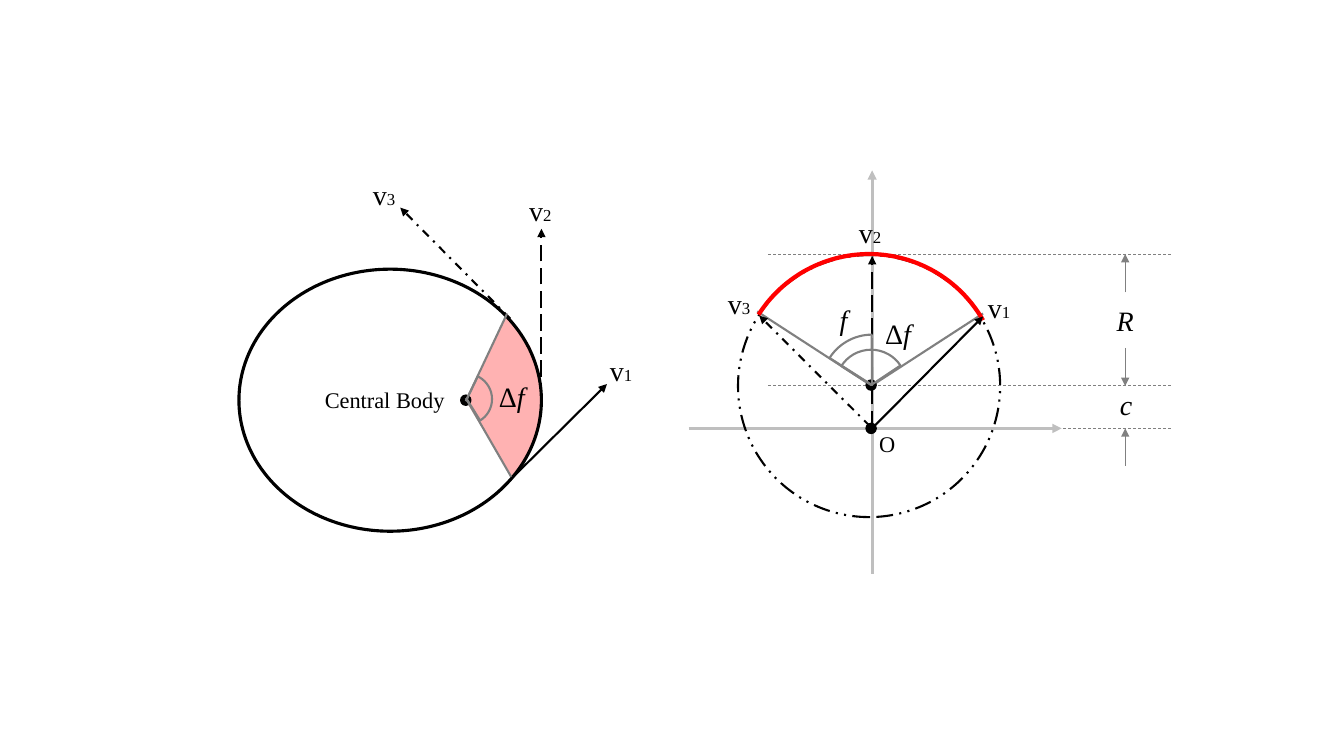
from lxml import etree
from pptx import Presentation
from pptx.dml.color import RGBColor
from pptx.enum import dml, shapes, text
from pptx.oxml import ns
from pptx.util import Inches, Pt

BLACK = RGBColor(0, 0, 0)
GRAY = RGBColor(0x80, 0x80, 0x80)
SILVER = RGBColor(0xBF, 0xBF, 0xBF)
RED = RGBColor(0xFF, 0, 0)
FONT = "Times New Roman"
DASH = dml.MSO_LINE
KIND = shapes.MSO_SHAPE


class Pane:
    def __init__(self, slide, left, top):
        self.items = slide.shapes
        self.left = left
        self.top = top

    def spot(self, x, y):
        return Inches(self.left + x), Inches(self.top + y)

    def line(self, start, end, color=BLACK, width=1.5, dash=None, arrow=False):
        link = self.items.add_connector(
            shapes.MSO_CONNECTOR.STRAIGHT, *self.spot(*start), *self.spot(*end))
        link.line.color.rgb = color
        link.line.width = Pt(width)
        if dash:
            link.line.dash_style = dash
        if arrow:
            edge = link._element.spPr.find(ns.qn("a:ln"))
            etree.SubElement(edge, ns.qn("a:tailEnd")).set("type", "triangle")
        etree.SubElement(link._element.spPr, ns.qn("a:effectLst"))

    def shape(self, kind, x, y, wide, high, color=BLACK, width=1.5,
              turn=270, angles=(), dash=None, fill=None):
        item = self.items.add_shape(
            kind, *self.spot(x, y), Inches(wide), Inches(high))
        item.shadow.inherit = False
        item.rotation = turn
        for index, angle in enumerate(angles):
            item.adjustments[index] = angle
        if fill is None:
            item.fill.background()
        else:
            item.fill.solid()
            item.fill.fore_color.rgb = fill
        item.line.color.rgb = color
        item.line.width = Pt(width)
        if dash:
            item.line.dash_style = dash

    def dot(self, x, y):
        self.shape(KIND.OVAL, x, y, 0.1, 0.1, width=1, fill=BLACK)

    def label(self, x, y, *parts, wide=1, high=0.44, center=False):
        box = self.items.add_textbox(*self.spot(x, y), Inches(wide), Inches(high))
        frame = box.text_frame
        frame.word_wrap = True
        frame.auto_size = text.MSO_AUTO_SIZE.SHAPE_TO_FIT_TEXT
        para = frame.paragraphs[0]
        if center:
            para.alignment = text.PP_ALIGN.CENTER
        for words, size, slant in parts:
            run = para.add_run()
            run.text = words
            run.font.name = FONT
            run.font.size = Pt(size)
            run.font.color.rgb = BLACK
            if slant:
                run.font.italic = True

    def speed(self, x, y, number):
        self.label(x, y, ("v", 20, False), (number, 12, False))

    def delta(self, x, y):
        self.label(x, y, ("Δ", 20, False), ("f", 20, True))

    def sector(self, points):
        spots = [self.spot(*point) for point in points]
        pen = self.items.build_freeform(*spots[0])
        pen.add_line_segments(spots[1:], close=True)
        item = pen.convert_to_shape()
        item.shadow.inherit = False
        item.fill.solid()
        item.fill.fore_color.rgb = RED
        tint = item._element.spPr.find(".//" + ns.qn("a:srgbClr"))
        etree.SubElement(tint, ns.qn("a:alpha")).set("val", "30000")
        item.line.fill.background()


def draw_orbit(slide, left, top):
    pane = Pane(slide, left, top)
    pane.sector([(2.63, 2.29), (3.07, 3.03), (3.14, 2.95), (3.25, 2.78),
                 (3.3, 2.67), (3.35, 2.47), (3.38, 2.31), (3.37, 2.17),
                 (3.33, 1.97), (3.26, 1.74), (3.17, 1.62), (3.03, 1.41)])
    pane.shape(KIND.OVAL, 0.57, 0.77, 2.6, 3, width=2.25)
    pane.dot(2.57, 2.22)
    for start, end, dash in (
            ((2.92, 3.2), (4.02, 2.11), None),
            ((3.37, 2.27), (3.37, 0.57), DASH.LONG_DASH),
            ((3.06, 1.46), (1.97, 0.36), DASH.DASH_DOT)):
        pane.line(start, end, dash=dash, arrow=True)
    for x, y, number in ((1.6, 0.01, "3"), (3.15, 0.17, "2"), (3.95, 1.76, "1")):
        pane.speed(x, y, number)
    pane.label(1.07, 2.08, ("Central Body", 16, False),
               wide=1.49, high=0.37, center=True)
    pane.shape(KIND.PIE, 2.38, 2.01, 0.5, 0.5, GRAY, turn=90,
               angles=(123.517, 196.878))
    pane.line((2.62, 2.28), (3.03, 1.41), GRAY)
    pane.line((2.62, 2.25), (3.07, 3.03), GRAY)
    pane.delta(2.85, 2.02)


def draw_circle(slide, left, top):
    pane = Pane(slide, left, top)
    for y in (0.82, 2.12, 2.55):
        pane.line((0.82, y), (4.82, y), GRAY, 0.5, DASH.DASH)
    pane.line((2.95, 1.41), (1.84, 2.13), GRAY)
    pane.line((0.71, 1.39), (1.82, 2.11), GRAY)
    pane.line((1.85, 3.99), (1.85, -0.01), SILVER, 2.25, arrow=True)
    pane.line((0.03, 2.55), (3.73, 2.55), SILVER, 2.25, arrow=True)
    pane.shape(KIND.OVAL, 0.52, 0.83, 2.6, 2.6, dash=DASH.DASH_DOT_DOT)
    pane.dot(1.79, 2.5)
    pane.shape(KIND.ARC, 0.52, 0.82, 2.6, 2.6, RED, 3, angles=(181.499, 36.203))
    for start, end, dash in (
            ((1.86, 2.54), (2.95, 1.44), None),
            ((1.85, 2.54), (1.85, 0.84), DASH.LONG_DASH),
            ((1.83, 2.53), (0.73, 1.43), DASH.DASH_DOT)):
        pane.line(start, end, dash=dash, arrow=True)
    for x, y, number in ((1.62, 0.39, "2"), (0.32, 1.09, "3"), (2.9, 1.13, "1")):
        pane.speed(x, y, number)
    pane.dot(1.79, 2.07)
    for x, y, size, stop in ((1.49, 1.77, 0.7, 195.892), (1.35, 1.62, 1, 161.702)):
        pane.shape(KIND.PIE, x, y, size, size, GRAY, turn=0,
                   angles=(127.476, stop))
    pane.delta(1.88, 1.39)
    for start, end in ((1.75, 2.13), (1.2, 0.82), (2.92, 2.55)):
        pane.line((4.36, start), (4.36, end), GRAY, 0.5, arrow=True)
    pane.label(3.86, 1.26, ("R", 20, True), center=True)
    pane.label(3.87, 2.1, ("c", 20, True), center=True)
    pane.label(1.43, 1.25, ("f", 20, True))
    pane.label(1.79, 2.52, ("O", 16, False), wide=0.42, high=0.37, center=True)


deck = Presentation()
deck.slide_width = Inches(13.33)
deck.slide_height = Inches(7.5)
page = deck.slides.add_slide(deck.slide_layouts[6])
draw_orbit(page, 2, 1.7)
draw_circle(page, 6.8, 1.7)
deck.save("out.pptx")
